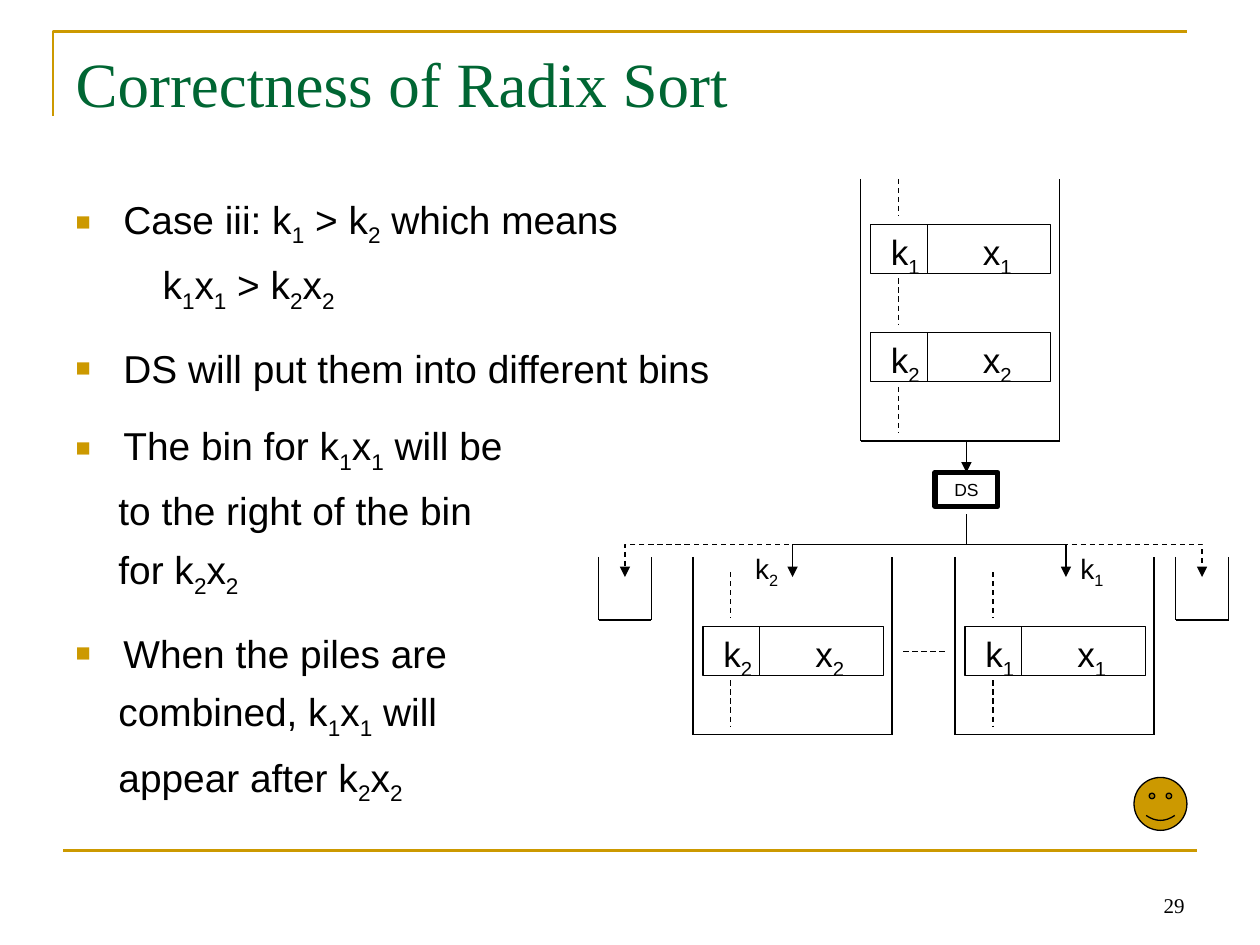
from lxml import etree
from pptx import Presentation
from pptx.dml.color import RGBColor
from pptx.enum.dml import MSO_LINE
from pptx.enum.shapes import MSO_CONNECTOR, MSO_SHAPE
from pptx.enum.text import MSO_ANCHOR, MSO_AUTO_SIZE, PP_ALIGN
from pptx.oxml.ns import qn
from pptx.util import Inches, Pt

STRAIGHT, ELBOW = MSO_CONNECTOR.STRAIGHT, MSO_CONNECTOR.ELBOW
RECTANGLE, SMILEY = MSO_SHAPE.RECTANGLE, MSO_SHAPE.SMILEY_FACE
LEFT, CENTER, RIGHT = PP_ALIGN.LEFT, PP_ALIGN.CENTER, PP_ALIGN.RIGHT
TOP, BOTTOM = MSO_ANCHOR.TOP, MSO_ANCHOR.BOTTOM
DASH, NO_AUTOFIT = MSO_LINE.DASH, MSO_AUTO_SIZE.NONE

GOLD, GREEN, BLACK = "CC9900", "006633", "000000"
SANS, SERIF = "Arial", "Times New Roman"
BIN_WIDTH, KEY_WIDTH, VALUE_WIDTH, RECORD_HEIGHT = 1.58, 0.45, 0.98, 0.39

POINTS = [
    ["Case iii: k|1| > k|2| which means", "k|1|x|1| > k|2|x|2|"],
    ["DS will put them into different bins"],
    ["The bin for k|1|x|1| will be", "to the right of the bin", "for k|2|x|2|"],
    ["When the piles are", "combined, k|1|x|1| will", "appear after k|2|x|2|"],
]


def color(value):
    """Turn a hex string into a colour."""
    return RGBColor.from_string(value)


def inches(*lengths):
    """Turn plain numbers into lengths."""
    return [Inches(length) for length in lengths]


def add_spans(para, text, size, font=SANS, ink=BLACK):
    """Add runs to a paragraph; parts between bars are subscripts."""
    for index, part in enumerate(text.split("|")):
        if not part:
            continue
        span = para.add_run()
        span.text = part
        span.font.size = Pt(size)
        span.font.name = font
        span.font.color.rgb = color(ink)
        if index % 2:
            span._r.get_or_add_rPr().set("baseline", "-25000")


def add_label(shapes, box, text, size, align=CENTER, font=SANS, wrap=True, anchor=TOP):
    """Add a one-line text box."""
    frame = shapes.add_textbox(*inches(*box)).text_frame
    frame.word_wrap = wrap
    frame.vertical_anchor = anchor
    frame.paragraphs[0].alignment = align
    add_spans(frame.paragraphs[0], text, size, font)


def style_outline(shape, ink=BLACK, width=0.75, fill=None):
    """Give a shape a plain outline and an optional fill."""
    shape.shadow.inherit = False
    shape.line.color.rgb = color(ink)
    shape.line.width = Pt(width)
    if fill:
        shape.fill.solid()
        shape.fill.fore_color.rgb = color(fill)
    else:
        shape.fill.background()


def add_line(shapes, start, end, ink=BLACK, width=0.75, dashed=False, arrow=False, kind=STRAIGHT):
    """Add a connector without shadow, dashed or with an arrowhead on request."""
    connector = shapes.add_connector(kind, *inches(*start, *end))
    connector.line.color.rgb = color(ink)
    connector.line.width = Pt(width)
    if dashed:
        connector.line.dash_style = DASH
    if arrow:
        etree.SubElement(connector.line._get_or_add_ln(), qn("a:tailEnd"), type="triangle")
    etree.SubElement(connector._element.spPr, qn("a:effectLst"))
    return connector


def add_branch(shapes, start, end, dashed):
    """Add an arrow that goes down, sideways and down again."""
    (x1, y1), (x2, y2) = start, end
    drop, reach = y2 - y1, abs(x2 - x1)
    left = (x1 + x2 - drop) / 2
    top = (y1 + y2 - reach) / 2
    sides = [left, left + drop]
    if x2 > x1:
        sides.reverse()
    branch = add_line(shapes, (sides[0], top), (sides[1], top + reach),
                      dashed=dashed, arrow=True, kind=ELBOW)
    properties = branch._element.spPr
    properties.find(qn("a:xfrm")).set("rot", "16200000" if x2 > x1 else "5400000")
    guides = properties.find(qn("a:prstGeom")).find(qn("a:avLst"))
    etree.SubElement(guides, qn("a:gd"), name="adj1", fmla="val 47900")


def add_bin(shapes, left, top, width, height):
    """Draw a bin that is open at the top."""
    right, bottom = left + width, top + height
    corners = [(left, top), (left, bottom), (right, bottom), (right, top)]
    for start, end in zip(corners, corners[1:]):
        add_line(shapes, start, end)


def add_record(shapes, left, top, number):
    """Draw a record made of a key cell and a value cell."""
    cells = [("k", left, KEY_WIDTH, 0.06), ("x", left + KEY_WIDTH, VALUE_WIDTH, 0.34)]
    for letter, cell_left, width, offset in cells:
        cell = shapes.add_shape(RECTANGLE, *inches(cell_left, top, width, RECORD_HEIGHT))
        style_outline(cell)
        add_label(shapes, (cell_left + offset, top, 0.43, 0.48), f"{letter}|{number}|", 20, wrap=False)


def add_pile(page, left, top, height, records):
    """Draw a bin with records, given as offset and number, and dashes between them."""
    shapes = page.shapes.add_group_shape().shapes
    add_bin(shapes, left, top, BIN_WIDTH, height)
    first = records[0][0]
    dashes = [(max(0, first - 0.43), first - 0.07)]
    for offset, number in records:
        add_record(shapes, left + 0.08, top + offset, number)
        dashes.append((offset + 0.43, offset + 0.79))
    for start, end in dashes:
        add_line(shapes, (left + 0.3, top + start), (left + 0.3, top + end), dashed=True)


def add_diagram(page, left, top):
    """Draw the distribution of one pile into several bins."""
    shapes = page.shapes
    middle, lower = left + 2.92, top + 3
    add_pile(page, left + 2.08, top, 2.08, [(0.36, 1), (1.22, 2)])
    add_pile(page, left + 0.75, lower, 1.41, [(0.55, 2)])
    add_pile(page, left + 2.83, lower, 1.41, [(0.55, 1)])
    for bin_left in (left, left + 4.58):
        add_bin(shapes.add_group_shape().shapes, bin_left, lower, 0.42, 0.5)
    step = shapes.add_shape(RECTANGLE, *inches(middle - 0.25, top + 2.33, 0.5, 0.27))
    style_outline(step, width=3)
    step.text_frame.paragraphs[0].alignment = CENTER
    add_spans(step.text_frame.paragraphs[0], "DS", 10)
    arrow = add_line(shapes, (middle, top + 2.08), (middle, top + 2.33), arrow=True)
    arrow.end_connect(step, 0)
    for offset, dashed in [(0.21, True), (1.54, False), (3.71, False), (4.79, True)]:
        add_branch(shapes, (middle, top + 2.66), (left + offset, top + 3.16), dashed)
    for offset, text in [(0.92, "k|2|"), (3.5, "k|1|")]:
        add_label(shapes, (left + offset, top + 2.91, 0.83, 0.41), text, 16)
    add_line(shapes, (left + 2.42, top + 3.75), (left + 2.75, top + 3.75), dashed=True)


def add_frame(page, left, top, width):
    """Draw the corner rule, the bottom rule and the page number."""
    builder = page.shapes.build_freeform(*inches(left, top + 0.67))
    builder.add_line_segments([inches(left, top), inches(left + width, top)], close=False)
    style_outline(builder.convert_to_shape(), GOLD, 1.5)
    add_line(page.shapes, (0.5, 6.75), (0.5 + width, 6.75), GOLD, 1.5)
    add_label(page.shapes, (7.17, 6.83, 2.33, 0.5), "29", 12, RIGHT, SERIF, anchor=BOTTOM)


def place(holder, box):
    """Move a placeholder and return its text frame, anchored at the top."""
    holder.left, holder.top, holder.width, holder.height = inches(*box)
    frame = holder.text_frame
    frame.word_wrap = True
    frame.auto_size = NO_AUTOFIT
    frame.vertical_anchor = TOP
    return frame


def set_bullet(para, margin, bulleted):
    """Set the indent of a paragraph and its square bullet, or none."""
    properties = para._p.get_or_add_pPr()
    properties.set("marL", str(Inches(margin)))
    properties.set("indent", str(Inches(-margin if bulleted else 0)))
    if not bulleted:
        etree.SubElement(properties, qn("a:buNone"))
        return
    ink = etree.SubElement(properties, qn("a:buClr"))
    etree.SubElement(ink, qn("a:srgbClr"), val=GOLD)
    etree.SubElement(properties, qn("a:buSzPct"), val="65000")
    etree.SubElement(properties, qn("a:buFont"), typeface=SANS)
    etree.SubElement(properties, qn("a:buChar"), char="■")


def fill_title(holder, box):
    """Write the title."""
    para = place(holder, box).paragraphs[0]
    para.alignment = LEFT
    add_spans(para, "Correctness of Radix Sort", 36, SERIF, GREEN)


def fill_points(holder, box):
    """Write the bulleted points with their continuation lines."""
    frame = place(holder, box)
    for number, lines in enumerate(POINTS):
        for row, text in enumerate(lines):
            first = number == row == 0
            para = frame.paragraphs[0] if first else frame.add_paragraph()
            follow_margin = 0.34 if number else 0.69
            set_bullet(para, follow_margin if row else 0.38, row == 0)
            para.space_before = Pt(0 if first else 7 if row else 17.5)
            add_spans(para, text, 22.2)


def main():
    """Build the deck and save it."""
    deck = Presentation()
    deck.slide_width, deck.slide_height = inches(10, 7.5)
    page = deck.slides.add_slide(deck.slide_layouts[1])
    add_frame(page, 0.42, 0.25, 9)
    fill_title(page.shapes.title, (0.5, 0.3, 9, 1.25))
    fill_points(page.placeholders[1], (0.5, 1.5, 9, 4.91))
    add_diagram(page, 4.75, 1.42)
    smiley = page.shapes.add_shape(SMILEY, *inches(9, 6.17, 0.42, 0.42))
    style_outline(smiley, fill=GOLD)
    deck.save("out.pptx")


if __name__ == "__main__":
    main()
